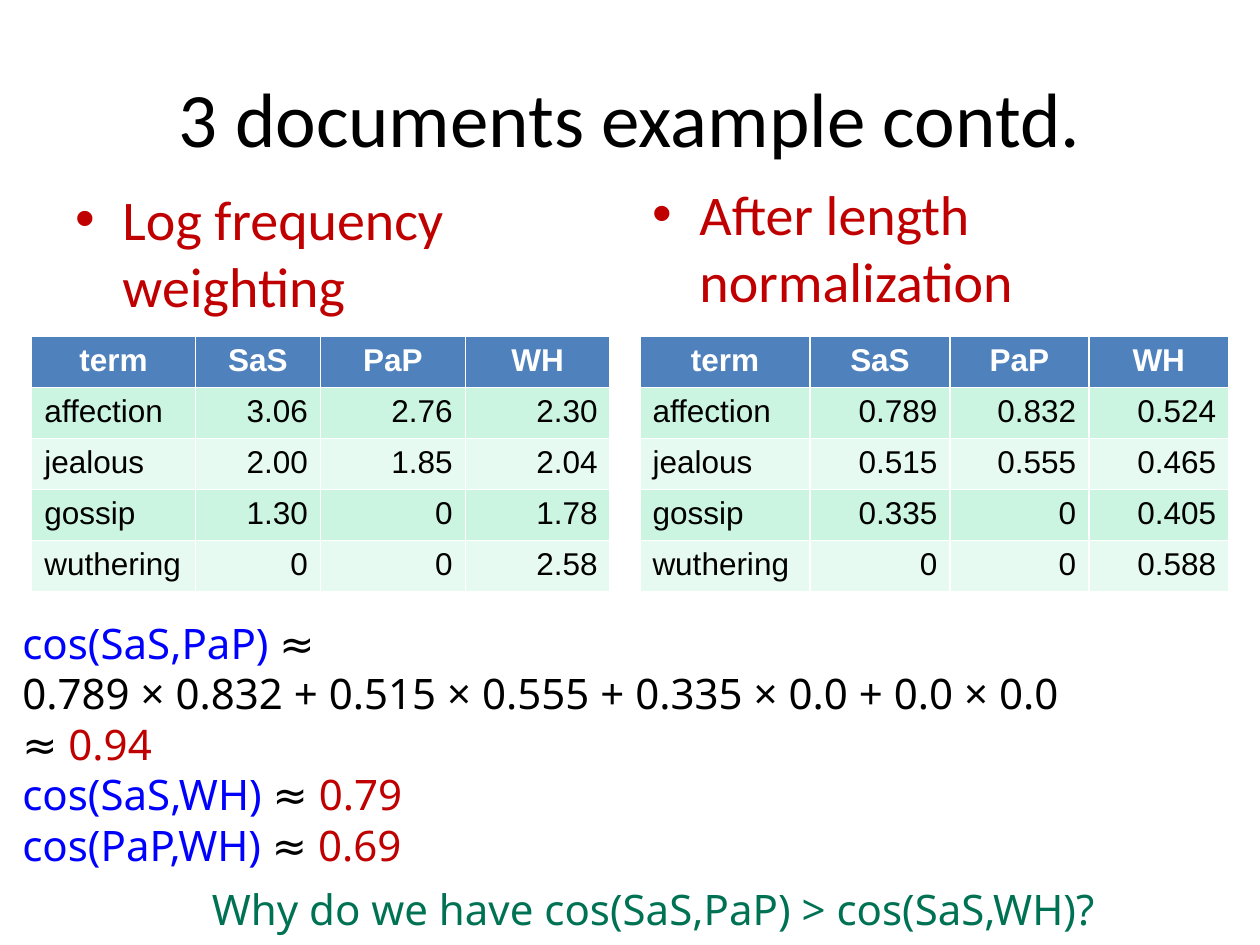
from lxml import etree
from pptx import Presentation, util as u
from pptx.dml import color
from pptx.enum import text
from pptx.oxml import ns

RED, BLUE, BLACK, GREEN = "C00000", "0000FF", "000000", "007254"
HEADER_FILL, BAND_FILLS = "4F81BD", ("CBF5E1", "E7FAF1")
ROW_HEIGHT = 1.03
HEADINGS = ("term", "SaS", "PaP", "WH")

LOG_WEIGHTS = [
    ("affection", "3.06", "2.76", "2.30"),
    ("jealous", "2.00", "1.85", "2.04"),
    ("gossip", "1.30", "0", "1.78"),
    ("wuthering", "0", "0", "2.58"),
]
NORMALIZED_WEIGHTS = [
    ("affection", "0.789", "0.832", "0.524"),
    ("jealous", "0.515", "0.555", "0.465"),
    ("gossip", "0.335", "0", "0.405"),
    ("wuthering", "0", "0", "0.588"),
]
COSINES = [
    [("cos(SaS,PaP) ", BLUE), ("≈", BLACK)],
    [("0.789 × 0.832 + 0.515 × 0.555 + 0.335 × 0.0 + 0.0 × 0.0", BLACK)],
    [("≈ ", BLACK), ("0.94", RED)],
    [("cos(SaS,WH)", BLUE), (" ≈ ", BLACK), ("0.79", RED)],
    [("cos(PaP,WH) ", BLUE), ("≈ ", BLACK), ("0.69", RED)],
]
QUESTION = [[("Why do we have cos(SaS,PaP) > cos(SaS,WH)?", GREEN)]]


def rgb(value):
    return color.RGBColor.from_string(value)


def style(span, font, size, ink, bold=False):
    span.font.name = font
    span.font.size = u.Pt(size)
    span.font.bold = bold
    span.font.color.rgb = rgb(ink)


def place(shape, left, top, width, height):
    shape.left, shape.top = u.Cm(left), u.Cm(top)
    shape.width, shape.height = u.Cm(width), u.Cm(height)


def add_title(page, wording, box):
    title = page.shapes.title
    place(title, *box)
    title.text_frame.text = wording
    title.text_frame.vertical_anchor = text.MSO_ANCHOR.MIDDLE
    para = title.text_frame.paragraphs[0]
    para.alignment = text.PP_ALIGN.CENTER
    style(para.runs[0], "Calibri", 44, BLACK)


def add_text_box(page, box):
    frame = page.shapes.add_textbox(*map(u.Cm, box)).text_frame
    frame.word_wrap = True
    return frame


def add_bullet(page, wording, box):
    frame = add_text_box(page, box)
    frame.text = wording
    para = frame.paragraphs[0]
    style(para.runs[0], "Calibri", 32, RED)
    props = para._p.get_or_add_pPr()
    props.set("marL", str(u.Cm(0.95)))
    props.set("indent", str(-u.Cm(0.95)))
    etree.SubElement(props, ns.qn("a:buFont"), typeface="Arial")
    etree.SubElement(props, ns.qn("a:buChar"), char="•")


def add_weights(page, rows, left, top, widths):
    lines = [HEADINGS, *rows]
    table = page.shapes.add_table(
        len(lines), len(widths), u.Cm(left), u.Cm(top),
        u.Cm(sum(widths)), u.Cm(ROW_HEIGHT * len(lines))).table
    for column, width in zip(table.columns, widths):
        column.width = u.Cm(width)
    for i, line in enumerate(lines):
        table.rows[i].height = u.Cm(ROW_HEIGHT)
        header = i == 0
        for j, wording in enumerate(line):
            cell = table.cell(i, j)
            cell.fill.solid()
            cell.fill.fore_color.rgb = rgb(HEADER_FILL if header else BAND_FILLS[(i - 1) % 2])
            cell.text_frame.text = wording
            para = cell.text_frame.paragraphs[0]
            if header:
                para.alignment = text.PP_ALIGN.CENTER
            else:
                para.alignment = text.PP_ALIGN.RIGHT if j else text.PP_ALIGN.LEFT
            style(para.runs[0], "Arial", 18, "FFFFFF" if header else BLACK, header)


def add_formulas(page, lines, box):
    frame = add_text_box(page, box)
    frame.margin_top = u.Cm(0.23)
    for i, line in enumerate(lines):
        para = frame.add_paragraph() if i else frame.paragraphs[0]
        para.line_spacing = u.Pt(28.8)
        for wording, ink in line:
            span = para.add_run()
            span.text = wording
            style(span, "Noto Sans", 24, ink)


def main():
    deck = Presentation()
    deck.slide_width, deck.slide_height = u.Cm(25.4), u.Cm(19.05)
    page = deck.slides.add_slide(deck.slide_layouts[5])
    add_title(page, "3 documents example contd.", (1.27, 0.76, 22.86, 3.18))
    add_bullet(page, "Log frequency weighting", (1.27, 3.6, 11.22, 1.78))
    add_weights(page, LOG_WEIGHTS, 0.64, 6.78, (3.3, 2.52, 2.92, 2.92))
    add_bullet(page, "After length normalization", (12.9, 3.5, 11.22, 1.78))
    add_weights(page, NORMALIZED_WEIGHTS, 12.9, 6.78, (3.43, 2.82, 2.8, 2.82))
    add_formulas(page, COSINES, (0.2, 12.22, 24.1, 5.38))
    add_formulas(page, QUESTION, (4.02, 17.58, 18.97, 1.3))
    deck.save("out.pptx")


if __name__ == "__main__":
    main()
